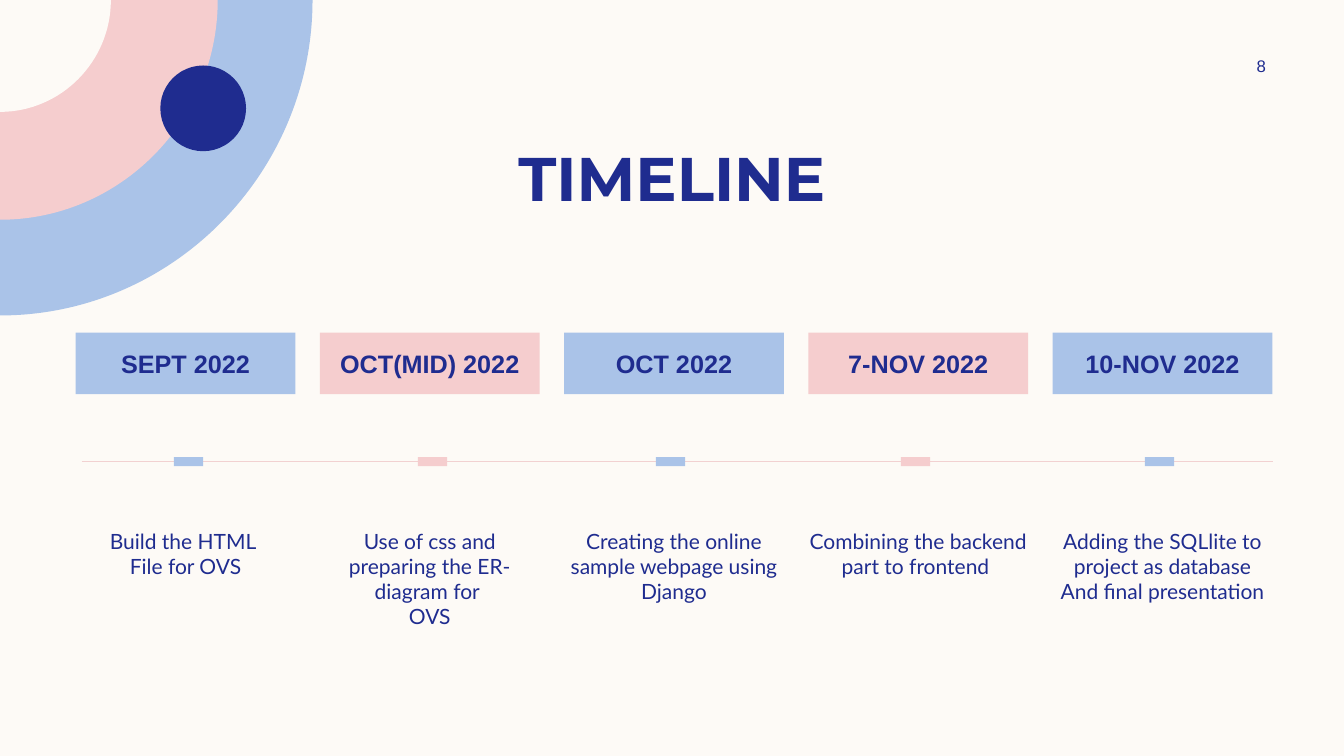
"""Build the project timeline slide."""
from lxml.etree import Element, SubElement
from pptx import Presentation
from pptx.dml.color import RGBColor
from pptx.enum.shapes import MSO_CONNECTOR, MSO_SHAPE
from pptx.enum.text import MSO_ANCHOR, MSO_AUTO_SIZE, PP_ALIGN
from pptx.oxml.ns import qn
from pptx.util import Inches, Pt

COLORS = {
    "cream": "FDFAF6",
    "blue": "AAC3E8",
    "pink": "F5CDCE",
    "navy": "1F2C8F",
    "axis": "F2D1D1",
}
QUARTER_DISCS = [(3.1, 3.13, "blue"), (2.16, 2.18, "pink"), (1.1, 1.11, "cream")]
MILESTONES = [
    ("SEPT 2022", 1.87, ["Build the HTML ", "File for OVS"]),
    ("OCT(MID) 2022", 4.29, ["Use of css and preparing the ER-diagram for ", "OVS"]),
    ("OCT 2022", 6.65, ["Creating the online sample webpage using Django"]),
    ("7-NOV 2022", 9.08, ["Combining the backend part to frontend "]),
    ("10-NOV 2022", 11.5, ["Adding the SQLlite to project as database", "And final presentation"]),
]
FIRST_LEFT, LAST_LEFT, COLUMN_WIDTH = 0.75, 10.44, 2.18
COLUMN_STEP = (LAST_LEFT - FIRST_LEFT) / (len(MILESTONES) - 1)
AXIS_Y = 4.58
MARKER_WIDTH, MARKER_HEIGHT = 0.29, 0.09
ARC_HANDLE = 0.55
DATE_FONT = {"name": "Arial", "size": Pt(18), "bold": True}
TASK_FONT = {"name": "Lato", "size": Pt(15), "bold": False}
TITLE_FONT = {"name": "Montserrat", "size": Pt(44), "bold": True}
NUMBER_FONT = {"name": "Arial", "size": Pt(12), "bold": False}


def rgb(color):
    """Return the named palette colour."""
    return RGBColor.from_string(COLORS[color])


def paint(shape, color):
    """Give a shape a flat fill without outline or shadow."""
    shape.fill.solid()
    shape.fill.fore_color.rgb = rgb(color)
    shape.line.fill.background()
    shape.shadow.inherit = False


def write(shape, lines, font_format, anchor=MSO_ANCHOR.MIDDLE, side=0.0, edge=0.0):
    """Fill a shape with centred navy paragraphs."""
    frame = shape.text_frame
    frame_format = {
        "word_wrap": True,
        "auto_size": MSO_AUTO_SIZE.NONE,
        "vertical_anchor": anchor,
        "margin_left": Inches(side),
        "margin_right": Inches(side),
        "margin_top": Inches(edge),
        "margin_bottom": Inches(edge),
    }
    for key, value in frame_format.items():
        setattr(frame, key, value)
    frame.text = "\n".join(lines)
    for paragraph in frame.paragraphs:
        paragraph.alignment = PP_ALIGN.CENTER
        font = paragraph.runs[0].font
        font.color.rgb = rgb("navy")
        for key, value in font_format.items():
            setattr(font, key, value)


def add_block(slide, preset, box, color):
    """Add a flat preset shape."""
    block = slide.shapes.add_shape(preset, *map(Inches, box))
    paint(block, color)
    return block


def add_quarter_disc(slide, radius_x, radius_y, color):
    """Add a quarter disc in the top left corner, its edge one Bezier curve."""
    width, height = Inches(radius_x), Inches(radius_y)
    builder = slide.shapes.build_freeform(0, 0)
    builder.add_line_segments([(width, 0), (0, height)], close=True)
    disc = builder.convert_to_shape()
    paint(disc, color)
    edge = list(disc.element.iter(qn("a:lnTo")))[-1]
    curve = Element(qn("a:cubicBezTo"))
    handles = [(width, height * ARC_HANDLE), (width * ARC_HANDLE, height), (0, height)]
    for x, y in handles:
        SubElement(curve, qn("a:pt"), x=str(int(x)), y=str(int(y)))
    edge.getparent().replace(edge, curve)


def add_axis(slide):
    """Add the thin timeline line."""
    ends = map(Inches, (0.81, AXIS_Y, 12.63, AXIS_Y))
    axis = slide.shapes.add_connector(MSO_CONNECTOR.STRAIGHT, *ends)
    axis.line.color.rgb = rgb("axis")
    axis.line.width = Pt(1)
    SubElement(axis.element.spPr, qn("a:effectLst"))


def add_title(slide):
    """Place and format the slide title."""
    title = slide.shapes.title
    place = {"left": 0.83, "top": 1.33, "width": 11.67, "height": 0.84}
    for key, value in place.items():
        setattr(title, key, Inches(value))
    write(title, ["TIMELINE"], TITLE_FONT, side=0.1, edge=0.05)


def add_text(slide, box, lines, font_format, **layout):
    """Add a text box."""
    write(slide.shapes.add_textbox(*map(Inches, box)), lines, font_format, **layout)


def add_milestone(slide, index, date, marker_center, tasks):
    """Add the date, axis marker and tasks of one milestone."""
    left = FIRST_LEFT + index * COLUMN_STEP
    color = ("blue", "pink")[index % 2]
    date_box = (left, 3.3, COLUMN_WIDTH, 0.61)
    write(add_block(slide, MSO_SHAPE.RECTANGLE, date_box, color), [date], DATE_FONT)
    marker_left = marker_center - MARKER_WIDTH / 2
    marker_top = AXIS_Y - MARKER_HEIGHT / 2
    marker_box = (marker_left, marker_top, MARKER_WIDTH, MARKER_HEIGHT)
    add_block(slide, MSO_SHAPE.RECTANGLE, marker_box, color)
    task_box = (left, 5.19, COLUMN_WIDTH, 0.87)
    add_text(slide, task_box, tasks, TASK_FONT, anchor=MSO_ANCHOR.TOP, edge=0.05)


def main():
    """Build and save the slide."""
    deck = Presentation()
    deck.slide_width, deck.slide_height = Inches(13.33), Inches(7.5)
    slide = deck.slides.add_slide(deck.slide_layouts[5])
    slide.background.fill.solid()
    slide.background.fill.fore_color.rgb = rgb("cream")
    for disc in QUARTER_DISCS:
        add_quarter_disc(slide, *disc)
    add_block(slide, MSO_SHAPE.OVAL, (1.59, 0.65, 0.85, 0.85), "navy")
    add_axis(slide)
    add_title(slide)
    add_text(slide, (11.97, 0.5, 1.08, 0.3), ["8"], NUMBER_FONT)
    for index, milestone in enumerate(MILESTONES):
        add_milestone(slide, index, *milestone)
    deck.save("out.pptx")


if __name__ == "__main__":
    main()
